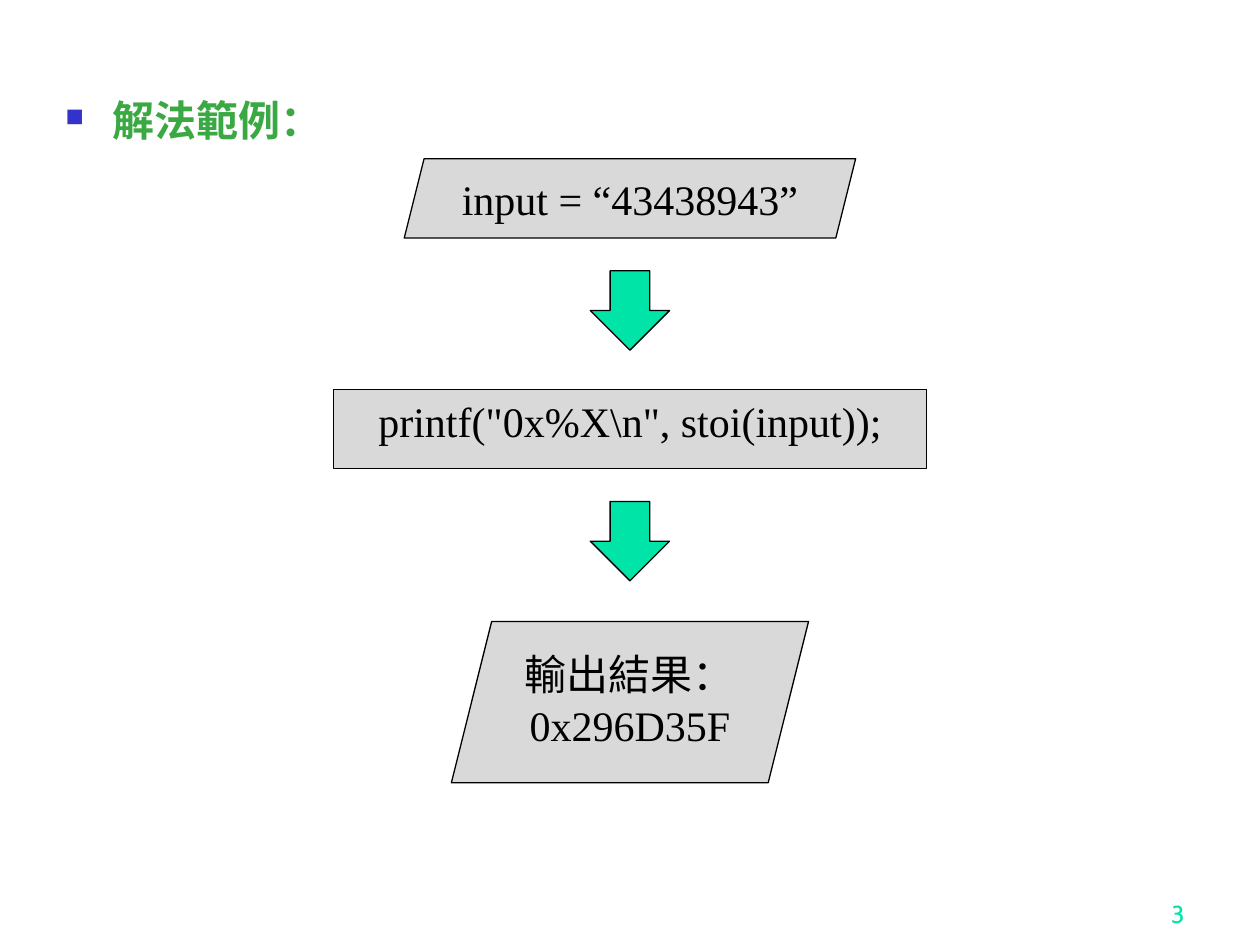
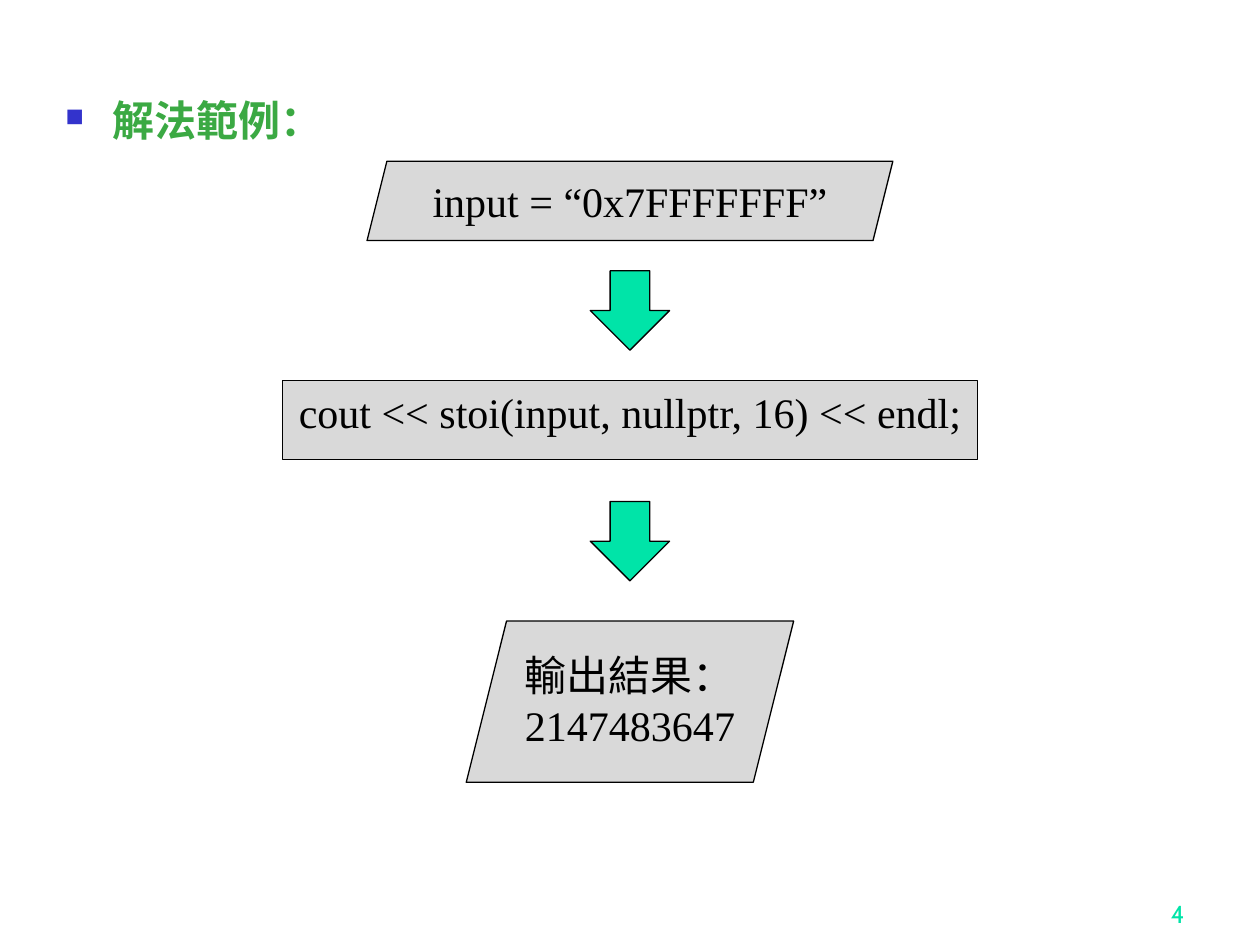
from dataclasses import dataclass

from lxml.etree import SubElement
from pptx import Presentation
from pptx.dml.color import RGBColor
from pptx.enum.shapes import MSO_SHAPE
from pptx.enum.text import MSO_ANCHOR, PP_ALIGN
from pptx.oxml.ns import qn
from pptx.shapes.autoshape import Shape
from pptx.slide import Slide
from pptx.text.text import TextFrame
from pptx.util import Cm, Pt

# Shared colours, fonts and measures (centimetres)
BLACK = RGBColor(0x00, 0x00, 0x00)
GREY = RGBColor(0xD9, 0xD9, 0xD9)
MINT = RGBColor(0x00, 0xE4, 0xA8)
GREEN = RGBColor(0x3B, 0xA9, 0x43)
BULLET_BLUE = RGBColor(0x33, 0x33, 0xCC)
SERIF, SANS = "Times New Roman", "Cabin"
PAGE_WIDTH, PAGE_HEIGHT = 25.4, 19.05
STEP_HEIGHT, RESULT_HEIGHT = 1.6, 3.25
ARROW_SIZE, ARROW_TOPS = 1.6, (5.46, 10.11)

HEADING = "解法範例："
HEADING_FONT = {"name": SERIF, "size": Pt(24), "bold": True}
STEP_FONT = {"name": SERIF, "size": Pt(24)}
NUMBER_FONT = {"name": SANS, "size": Pt(14)}
INSETS = {"margin_left": Cm(0.25), "margin_right": Cm(0.25),
          "margin_top": Cm(0.13), "margin_bottom": Cm(0.13)}


@dataclass(frozen=True)
class Step:
    """One flowchart box, centred across the page."""
    kind: MSO_SHAPE
    top: float
    width: float
    lines: tuple[str, ...]
    height: float = STEP_HEIGHT


@dataclass(frozen=True)
class Example:
    number: int
    steps: tuple[Step, ...]


EXAMPLES = (
    Example(3, (
        Step(MSO_SHAPE.PARALLELOGRAM, 3.2, 9.1, ("input = “43438943”",)),
        Step(MSO_SHAPE.RECTANGLE, 7.85, 11.95,
             (r'printf("0x%X\n", stoi(input));',)),
        Step(MSO_SHAPE.PARALLELOGRAM, 12.53, 7.2,
             ("輸出結果：", "0x296D35F"), RESULT_HEIGHT),
    )),
    Example(4, (
        Step(MSO_SHAPE.PARALLELOGRAM, 3.25, 10.6, ("input = “0x7FFFFFFF”",)),
        Step(MSO_SHAPE.RECTANGLE, 7.67, 14.0,
             ("cout << stoi(input, nullptr, 16) << endl;",)),
        Step(MSO_SHAPE.PARALLELOGRAM, 12.52, 6.6,
             ("輸出結果：", "2147483647"), RESULT_HEIGHT),
    )),
)


def apply(target: object, values: dict) -> None:
    for name, value in values.items():
        setattr(target, name, value)


def write(frame: TextFrame, lines: tuple[str, ...], font: dict,
          color: RGBColor, align: PP_ALIGN) -> None:
    """Write one paragraph for each line."""
    apply(frame, INSETS)
    for index, line in enumerate(lines):
        para = frame.add_paragraph() if index else frame.paragraphs[0]
        para.alignment = align
        span = para.add_run()
        span.text = line
        apply(span.font, font)
        span.font.color.rgb = color


def add_heading(page: Slide) -> None:
    box = page.shapes.add_textbox(Cm(1.07), Cm(1.9), Cm(22.43), Cm(15.62))
    frame = box.text_frame
    frame.word_wrap = True
    para = frame.paragraphs[0]
    para.line_spacing = 0.9
    # Hanging square bullet
    properties = para._p.get_or_add_pPr()
    properties.set("marL", str(Cm(0.95)))
    properties.set("indent", str(-Cm(0.95)))
    bullet_color = SubElement(properties, qn("a:buClr"))
    SubElement(bullet_color, qn("a:srgbClr"), val=str(BULLET_BLUE))
    SubElement(properties, qn("a:buSzPct"), val="60000")
    SubElement(properties, qn("a:buChar"), char="■")
    write(frame, (HEADING,), HEADING_FONT, GREEN, PP_ALIGN.LEFT)


def add_page_number(page: Slide, number: int) -> None:
    box = page.shapes.add_textbox(Cm(18.85), Cm(17.58), Cm(5.28), Cm(1.27))
    frame = box.text_frame
    frame.word_wrap = True
    frame.vertical_anchor = MSO_ANCHOR.BOTTOM
    write(frame, (str(number),), NUMBER_FONT, MINT, PP_ALIGN.RIGHT)


def add_centred_shape(page: Slide, kind: MSO_SHAPE, top: float, width: float,
                      height: float, fill: RGBColor) -> Shape:
    left = (PAGE_WIDTH - width) / 2
    shape = page.shapes.add_shape(kind, Cm(left), Cm(top), Cm(width), Cm(height))
    shape.shadow.inherit = False
    shape.fill.solid()
    shape.fill.fore_color.rgb = fill
    shape.line.color.rgb = BLACK
    shape.line.width = Pt(0.75)
    return shape


def add_step(page: Slide, step: Step) -> None:
    shape = add_centred_shape(page, step.kind, step.top, step.width,
                              step.height, GREY)
    frame = shape.text_frame
    frame.word_wrap = False
    frame.vertical_anchor = MSO_ANCHOR.TOP
    write(frame, step.lines, STEP_FONT, BLACK, PP_ALIGN.CENTER)


def main() -> None:
    deck = Presentation()
    deck.slide_width, deck.slide_height = Cm(PAGE_WIDTH), Cm(PAGE_HEIGHT)
    blank = deck.slide_layouts[6]
    for example in EXAMPLES:
        page = deck.slides.add_slide(blank)
        add_page_number(page, example.number)
        add_heading(page)
        # Flowchart: boxes with arrows between them
        for step in example.steps:
            add_step(page, step)
        for top in ARROW_TOPS:
            add_centred_shape(page, MSO_SHAPE.DOWN_ARROW, top, ARROW_SIZE,
                              ARROW_SIZE, MINT)
    deck.save("out.pptx")


if __name__ == "__main__":
    main()
